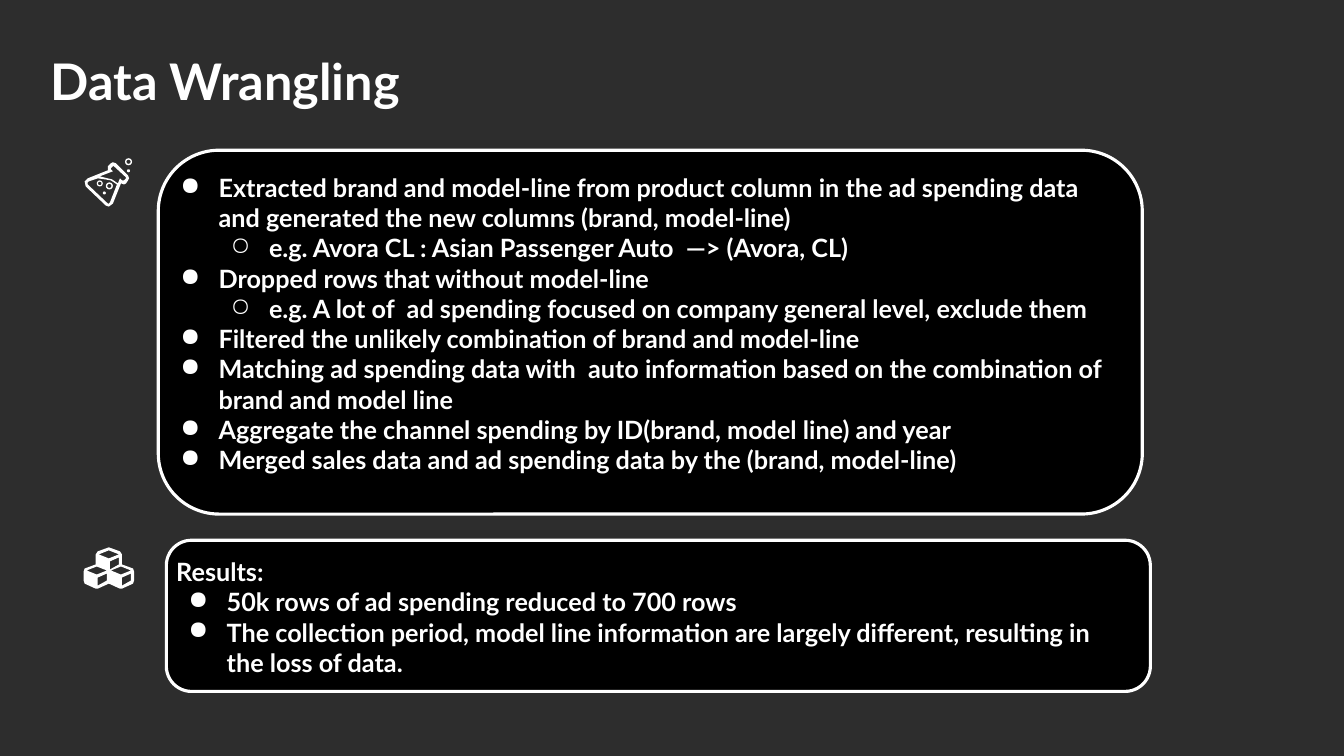
"""Builds the Data Wrangling slide: a title and two icon-marked panels of bullets."""
from lxml import etree
from pptx import Presentation
from pptx import util as u
from pptx.dml.color import RGBColor
from pptx.enum import shapes, text
from pptx.oxml.ns import qn

CELL = u.Inches(0.01)
THEME = {
    "back": RGBColor.from_string("2D2D2D"),
    "panel": RGBColor.from_string("000000"),
    "ink": RGBColor.from_string("FFFFFF"),
    "font": "Lato",
    "title": u.Pt(36),
    "body": u.Pt(18),
    "edge": u.Pt(2.25),
}
BULLETS = {1: "●", 2: "○"}


def write(para, words, size):
    """Add one bold span in the theme's font and ink."""
    span = para.add_run()
    span.text = words
    for name, value in {"name": THEME["font"], "size": size, "bold": True}.items():
        setattr(span.font, name, value)
    span.font.color.rgb = THEME["ink"]


def paint(shape, color):
    """Give a shape a plain fill with no outline or shadow."""
    shape.shadow.inherit = False
    shape.fill.solid()
    shape.fill.fore_color.rgb = color
    shape.line.fill.background()


deck = Presentation()
deck.slide_width, deck.slide_height = 1333 * CELL, 750 * CELL
page = deck.slides.add_slide(deck.slide_layouts[5])
page.background.fill.solid()
page.background.fill.fore_color.rgb = THEME["back"]

title = page.shapes.title
for name, cells in {"left": 40, "top": 14, "width": 603, "height": 102}.items():
    setattr(title, name, cells * CELL)
frame = title.text_frame
for name, value in {"word_wrap": True, "auto_size": text.MSO_AUTO_SIZE.NONE,
                    "vertical_anchor": text.MSO_ANCHOR.BOTTOM}.items():
    setattr(frame, name, value)
frame.paragraphs[0].alignment = text.PP_ALIGN.LEFT
frame.paragraphs[0].line_spacing = 0.9
write(frame.paragraphs[0], "Data Wrangling", THEME["title"])

flask = [
    [(112, 161), (110, 162), (107, 165), (107, 169), (87, 177), (84, 180), (85, 185),
     (105, 204), (108, 205), (112, 202), (120, 182), (123, 183), (125, 182),
     (127, 179), (128, 177), (127, 174), (115, 162)],
    [(109, 201), (108, 202), (107, 202), (87, 183), (87, 181), (88, 180), (97, 177),
     (104, 178), (110, 179), (116, 183)],
    [(125, 177), (123, 179), (121, 179), (119, 177), (117, 182), (111, 178), (103, 176),
     (99, 175), (112, 170), (110, 168), (110, 167), (112, 165), (113, 165), (125, 176)],
]

half = [(108, 543), (119, 547), (121, 550), (121, 560), (132, 564), (133, 567),
        (133, 576), (132, 579), (121, 584), (119, 584), (108, 579)]
cubes = [half + [(216 - x, y) for x, y in reversed(half[1:-1])]]
top_face = [(0, 0), (-10, 4), (0, 8), (10, 4)]
side_face = [(10, 7), (1, 11), (1, 19), (10, 14)]
for apex_x, apex_y in [(96, 562), (108, 546), (120, 562)]:
    for face in (top_face, side_face):
        cubes.append([(apex_x + x, apex_y + y) for x, y in face])

for icon in (flask, cubes):
    builder = page.shapes.build_freeform(*icon[0][0], scale=CELL)
    builder.add_line_segments(icon[0][1:])
    for outline in icon[1:]:
        builder.move_to(*outline[0])
        builder.add_line_segments(outline[1:])
    paint(builder.convert_to_shape(), THEME["ink"])

RING, DOT = shapes.MSO_SHAPE.DONUT, shapes.MSO_SHAPE.OVAL
for kind, left, top, size in [(RING, 105, 181, 7), (RING, 124, 157, 7), (RING, 96, 179, 6),
                              (DOT, 102, 190, 3), (DOT, 126, 168, 3)]:
    bubble = page.shapes.add_shape(kind, left * CELL, top * CELL, size * CELL, size * CELL)
    paint(bubble, THEME["ink"])
    if kind == RING:
        bubble.adjustments[0] = 0.2

steps = [
    (1, "Extracted brand and model-line from product column in the ad spending data "
        "and generated the new columns (brand, model-line)"),
    (2, "e.g. Avora CL : Asian Passenger Auto  —> (Avora, CL)"),
    (1, "Dropped rows that without model-line"),
    (2, "e.g. A lot of  ad spending focused on company general level, exclude them"),
    (1, "Filtered the unlikely combination of brand and model-line"),
    (1, "Matching ad spending data with  auto information based on the combination "
        "of brand and model line"),
    (1, "Aggregate the channel spending by ID(brand, model line) and year"),
    (1, "Merged sales data and ad spending data by the (brand, model-line)"),
]
results = [
    (0, "Results:"),
    (1, "50k rows of ad spending reduced to 700 rows"),
    (1, "The collection period, model line information are largely different, "
        "resulting in the loss of data."),
]

for left, top, height, inset, lines in [(157, 149, 361, 12, steps),
                                        (165, 536, 150, 6, results)]:
    panel = page.shapes.add_shape(shapes.MSO_SHAPE.ROUNDED_RECTANGLE,
                                  left * CELL, top * CELL, 976 * CELL, height * CELL)
    paint(panel, THEME["panel"])
    panel.adjustments[0] = 0.167
    panel.line.color.rgb = THEME["ink"]
    panel.line.width = THEME["edge"]

    box = page.shapes.add_textbox(left * CELL, (top + inset) * CELL,
                                  950 * CELL, (height - 2 * inset) * CELL)
    frame = box.text_frame
    frame.word_wrap = True
    for side in ("left", "top", "right", "bottom"):
        setattr(frame, f"margin_{side}", 10 * CELL)
    for row, (level, words) in enumerate(lines):
        para = frame.add_paragraph() if row else frame.paragraphs[0]
        write(para, words, THEME["body"])
        if level:
            para.level = level - 1
            props = para._p.get_or_add_pPr()
            props.set("marL", str(level * 50 * CELL))
            props.set("indent", str(-38 * CELL))
            tint = etree.SubElement(props, qn("a:buClr"))
            etree.SubElement(tint, qn("a:srgbClr"), val=str(THEME["ink"]))
            etree.SubElement(props, qn("a:buChar"), char=BULLETS[level])

deck.save("out.pptx")
